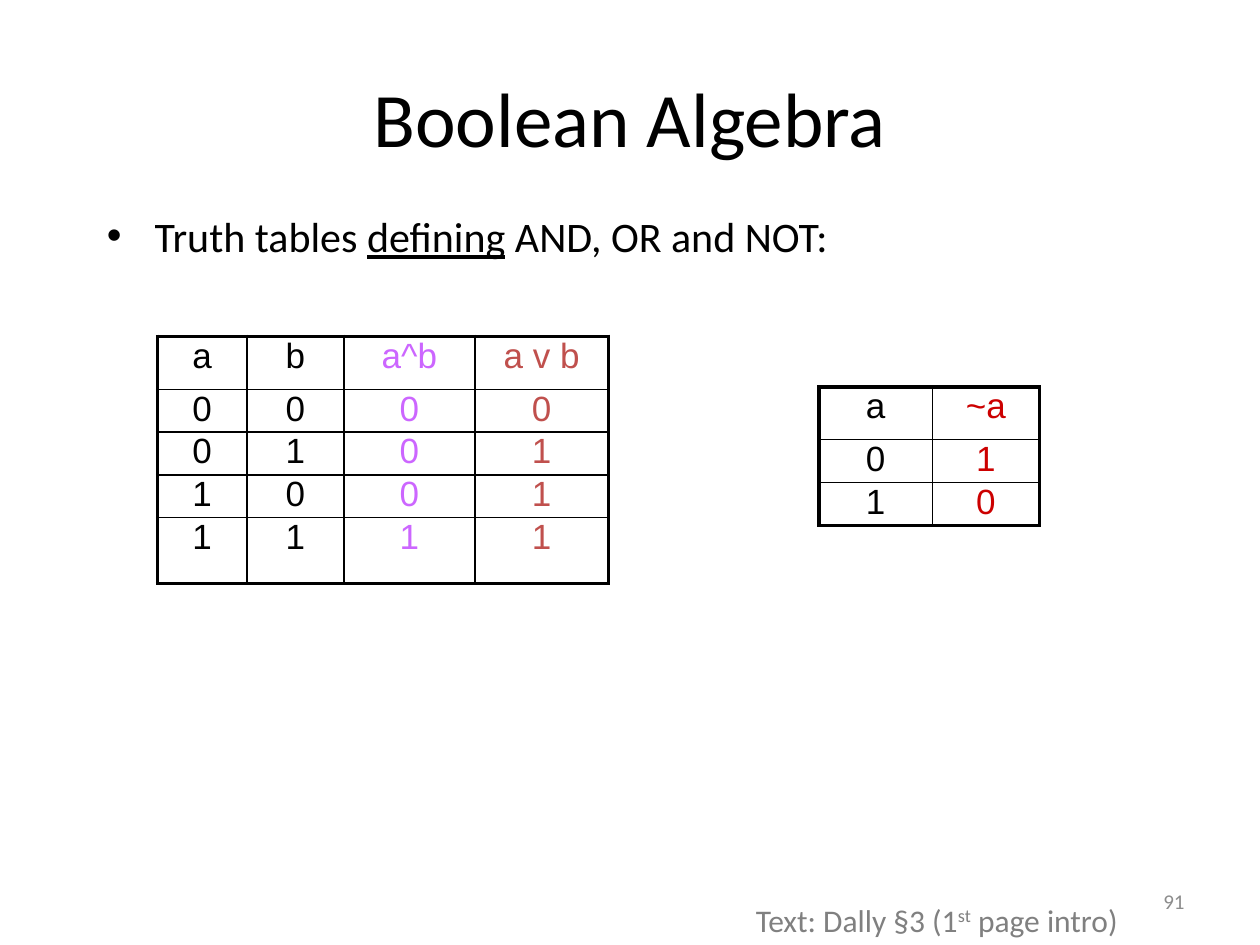
from dataclasses import dataclass

from lxml.etree import SubElement
from pptx import Presentation
from pptx.dml.color import RGBColor
from pptx.enum.text import MSO_ANCHOR, PP_ALIGN
from pptx.oxml.ns import qn
from pptx.util import Inches, Pt

BLACK, GREY = "000000", "808080"
THICK, THIN = 2.25, 1


@dataclass
class Label:
    box: tuple[float, float, float, float]
    runs: list[tuple[str, dict]]
    size: int
    color: str = BLACK
    align: PP_ALIGN = PP_ALIGN.LEFT
    anchor: MSO_ANCHOR = MSO_ANCHOR.TOP
    bullet: bool = False


@dataclass
class Truth:
    left: float
    top: float
    cols: list[float]
    rows: list[float]
    inks: list[str]
    cells: list[str]


def paint(font, color: str, **values) -> None:
    """Set the colour and any other font values."""
    font.color.rgb = RGBColor.from_string(color)
    for key, value in values.items():
        setattr(font, key, value)


def add_bullet(para) -> None:
    props = para._p.get_or_add_pPr()
    props.set("marL", str(Inches(0.38)))
    props.set("indent", str(Inches(-0.38)))
    SubElement(props, qn("a:buFont"), typeface="Arial")
    SubElement(props, qn("a:buChar"), char="•")
    para.line_spacing = 1.1


def add_label(slide, label: Label) -> None:
    shape = slide.shapes.add_textbox(*map(Inches, label.box))
    frame = shape.text_frame
    frame.word_wrap = True
    frame.vertical_anchor = label.anchor
    para = frame.paragraphs[0]
    para.alignment = label.align
    if label.bullet:
        add_bullet(para)
    for text, extra in label.runs:
        run = para.add_run()
        run.text = text
        values = dict(extra)
        raised = values.pop("raised", None)
        paint(run.font, label.color, name="Calibri", size=Pt(label.size), **values)
        if raised:
            run._r.get_or_add_rPr().set("baseline", str(raised * 1000))


def add_edge(cell, side: str, width: float) -> None:
    line = SubElement(cell._tc.get_or_add_tcPr(), qn(f"a:ln{side}"), w=str(Pt(width)))
    fill = SubElement(line, qn("a:solidFill"))
    SubElement(fill, qn("a:srgbClr"), val=BLACK)


def add_truth(slide, truth: Truth) -> None:
    """Draw a truth table with thin inner lines and a thick frame."""
    tall, wide = len(truth.rows), len(truth.cols)
    size = truth.left, truth.top, sum(truth.cols), sum(truth.rows)
    table = slide.shapes.add_table(tall, wide, *map(Inches, size)).table
    table.first_row = table.horz_banding = False
    for col, width in zip(table.columns, truth.cols):
        col.width = Inches(width)
    for r, (row, height) in enumerate(zip(table.rows, truth.rows)):
        row.height = Inches(height)
        texts = truth.cells[r].split("|")
        for c, (cell, text, ink) in enumerate(zip(row.cells, texts, truth.inks)):
            for side in ("left", "right", "top", "bottom"):
                setattr(cell, f"margin_{side}", 0)
            outer = {"L": c == 0, "R": c == wide - 1, "T": r == 0, "B": r == tall - 1}
            for side, thick in outer.items():
                add_edge(cell, side, THICK if thick else THIN)
            cell.fill.background()
            para = cell.text_frame.paragraphs[0]
            para.alignment = PP_ALIGN.CENTER
            run = para.add_run()
            run.text = text
            paint(run.font, ink, name="Arial", size=Pt(20))


LABELS = [
    Label((0.5, 0.3, 9, 1.25), [("Boolean Algebra", {})], 44,
          align=PP_ALIGN.CENTER, anchor=MSO_ANCHOR.MIDDLE),
    Label((0.75, 1.58, 8.5, 4.88),
          [("Truth tables ", {}), ("defining", {"underline": True}),
           (" AND, OR and NOT:", {})], 24, bullet=True),
    Label((5.9, 7.1, 3.17, 0.4),
          [("Text: Dally §3 (1", {}), ("st", {"raised": 30}),
           (" page intro)", {})], 18, GREY),
    Label((7.17, 6.95, 2.33, 0.4), [("91", {})], 12, "8C8C8C",
          PP_ALIGN.RIGHT, MSO_ANCHOR.MIDDLE),
]

TRUTHS = [
    Truth(1.25, 2.67, [0.71, 0.77, 1.04, 1.06], [0.42, 0.34, 0.34, 0.34, 0.52],
          [BLACK, BLACK, "CC66FF", "C0504D"],
          ["a|b|a^b|a v b", "0|0|0|0", "0|1|0|1", "1|0|0|1", "1|1|1|1"]),
    Truth(6.5, 3.07, [0.9, 0.85], [0.42, 0.34, 0.34],
          [BLACK, "CC0000"], ["a|~a", "0|1", "1|0"]),
]


def main() -> None:
    deck = Presentation()
    deck.slide_width, deck.slide_height = Inches(10), Inches(7.5)
    slide = deck.slides.add_slide(deck.slide_layouts[6])
    for label in LABELS:
        add_label(slide, label)
    for truth in TRUTHS:
        add_truth(slide, truth)
    deck.save("out.pptx")


if __name__ == "__main__":
    main()
